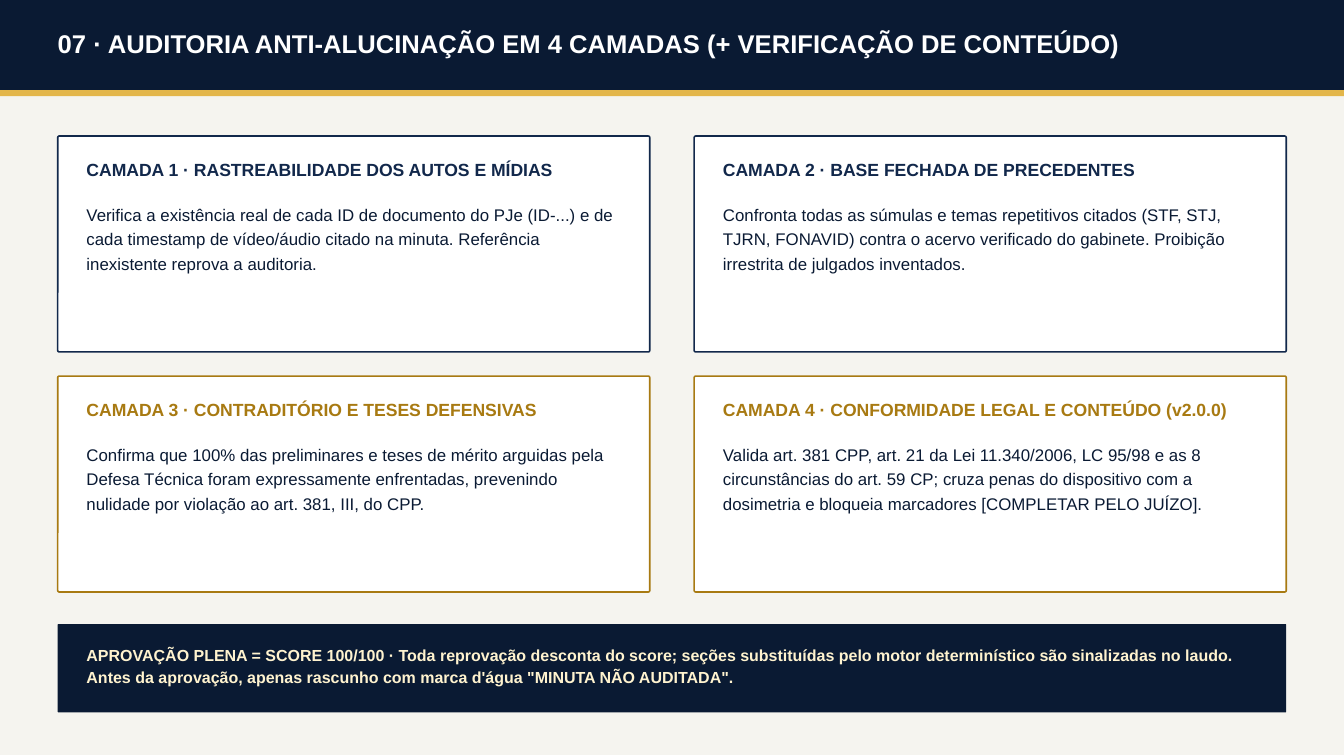
import pptx
import pptx.dml.color
import pptx.enum.shapes
import pptx.util
from pptx.util import Cm

# Content
TITLE = "07 · AUDITORIA ANTI-ALUCINAÇÃO EM 4 CAMADAS (+ VERIFICAÇÃO DE CONTEÚDO)"
LAYERS = [
    ("CAMADA 1 · RASTREABILIDADE DOS AUTOS E MÍDIAS",
     "Verifica a existência real de cada ID de documento do PJe (ID-...) e de cada timestamp "
     "de vídeo/áudio citado na minuta. Referência inexistente reprova a auditoria."),
    ("CAMADA 2 · BASE FECHADA DE PRECEDENTES",
     "Confronta todas as súmulas e temas repetitivos citados (STF, STJ, TJRN, FONAVID) contra "
     "o acervo verificado do gabinete. Proibição irrestrita de julgados inventados."),
    ("CAMADA 3 · CONTRADITÓRIO E TESES DEFENSIVAS",
     "Confirma que 100% das preliminares e teses de mérito arguidas pela Defesa Técnica foram "
     "expressamente enfrentadas, prevenindo nulidade por violação ao art. 381, III, do CPP."),
    ("CAMADA 4 · CONFORMIDADE LEGAL E CONTEÚDO (v2.0.0)",
     "Valida art. 381 CPP, art. 21 da Lei 11.340/2006, LC 95/98 e as 8 circunstâncias do "
     "art. 59 CP; cruza penas do dispositivo com a dosimetria e bloqueia marcadores "
     "[COMPLETAR PELO JUÍZO]."),
]
VERDICT = ("APROVAÇÃO PLENA = SCORE 100/100 · Toda reprovação desconta do score; seções "
           "substituídas pelo motor determinístico são sinalizadas no laudo. Antes da aprovação, "
           "apenas rascunho com marca d'água \"MINUTA NÃO AUDITADA\".")

# Colours
NAVY, BLUE, GOLD, OCHRE = "0A1A33", "12284B", "E3B64A", "A87A12"
PAPER, WHITE, CREAM = "F5F4EF", "FFFFFF", "FFF3CF"
ROW_COLOURS = [BLUE, OCHRE]

# Layout in centimetres
SLIDE_W, SLIDE_H = 44.45, 24.97
MARGIN, PADDING = 1.91, 0.95
HEADER_H, RULE_H = 2.98, 0.2
CONTENT_W = SLIDE_W - 2 * MARGIN
CARD_TOP, CARD_W, CARD_H, ROW_GAP = 4.5, 19.58, 7.14, 0.8
COLUMN_GAP = CONTENT_W - 2 * CARD_W
BANNER_TOP, BANNER_H = 20.64, 2.92
CORNER = 0.05


def colour(value):
    return pptx.dml.color.RGBColor.from_string(value)


def add_panel(page, left, top, width, height, fill, line=None, radius=0):
    kinds = pptx.enum.shapes.MSO_SHAPE
    kind = kinds.ROUNDED_RECTANGLE if radius else kinds.RECTANGLE
    panel = page.shapes.add_shape(kind, Cm(left), Cm(top), Cm(width), Cm(height))
    panel.shadow.inherit = False
    if radius:
        panel.adjustments[0] = radius / min(width, height)
    panel.fill.solid()
    panel.fill.fore_color.rgb = colour(fill)
    if line:
        panel.line.color.rgb = colour(line)
        panel.line.width = pptx.util.Pt(1.5)
    else:
        panel.line.fill.background()


def add_text(page, left, top, width, height, text, size, spacing, ink, bold=True):
    box = page.shapes.add_textbox(Cm(left), Cm(top), Cm(width), Cm(height))
    frame = box.text_frame
    frame.word_wrap = True
    frame.margin_left = frame.margin_right = frame.margin_top = frame.margin_bottom = 0
    frame.text = text
    para = frame.paragraphs[0]
    para.line_spacing = pptx.util.Pt(spacing)
    span = para.runs[0]
    span.font.name = "Arial"
    span.font.size = pptx.util.Pt(size)
    span.font.bold = bold
    span.font.color.rgb = colour(ink)


def main():
    deck = pptx.Presentation()
    deck.slide_width, deck.slide_height = Cm(SLIDE_W), Cm(SLIDE_H)
    page = deck.slides.add_slide(deck.slide_layouts[6])
    page.background.fill.solid()
    page.background.fill.fore_color.rgb = colour(PAPER)

    # Header
    add_panel(page, 0, 0, SLIDE_W, HEADER_H, NAVY)
    add_panel(page, 0, HEADER_H, SLIDE_W, RULE_H, GOLD)
    add_text(page, MARGIN, 0.74, CONTENT_W, 1.14, TITLE, 24, 33.6, WHITE)

    # Layer cards, two per row
    text_w = CARD_W - 2 * PADDING
    for index, (heading, body) in enumerate(LAYERS):
        row, column = divmod(index, 2)
        left = MARGIN + column * (CARD_W + COLUMN_GAP)
        top = CARD_TOP + row * (CARD_H + ROW_GAP)
        accent = ROW_COLOURS[row]
        add_panel(page, left, top, CARD_W, CARD_H, WHITE, accent, CORNER)
        add_text(page, left + PADDING, top + 0.64, text_w, 0.84, heading, 16.5, 23.1, accent)
        add_text(page, left + PADDING, top + 2.13, text_w, 2.36, body, 15.8, 22.8, NAVY, False)

    # Verdict banner
    add_panel(page, MARGIN, BANNER_TOP, CONTENT_W, BANNER_H, NAVY, radius=CORNER / 2)
    add_text(page, MARGIN + PADDING, BANNER_TOP + 0.64, CONTENT_W - 2 * PADDING, 1.45,
             VERDICT, 15, 20.2, CREAM)

    deck.save("out.pptx")


if __name__ == "__main__":
    main()
